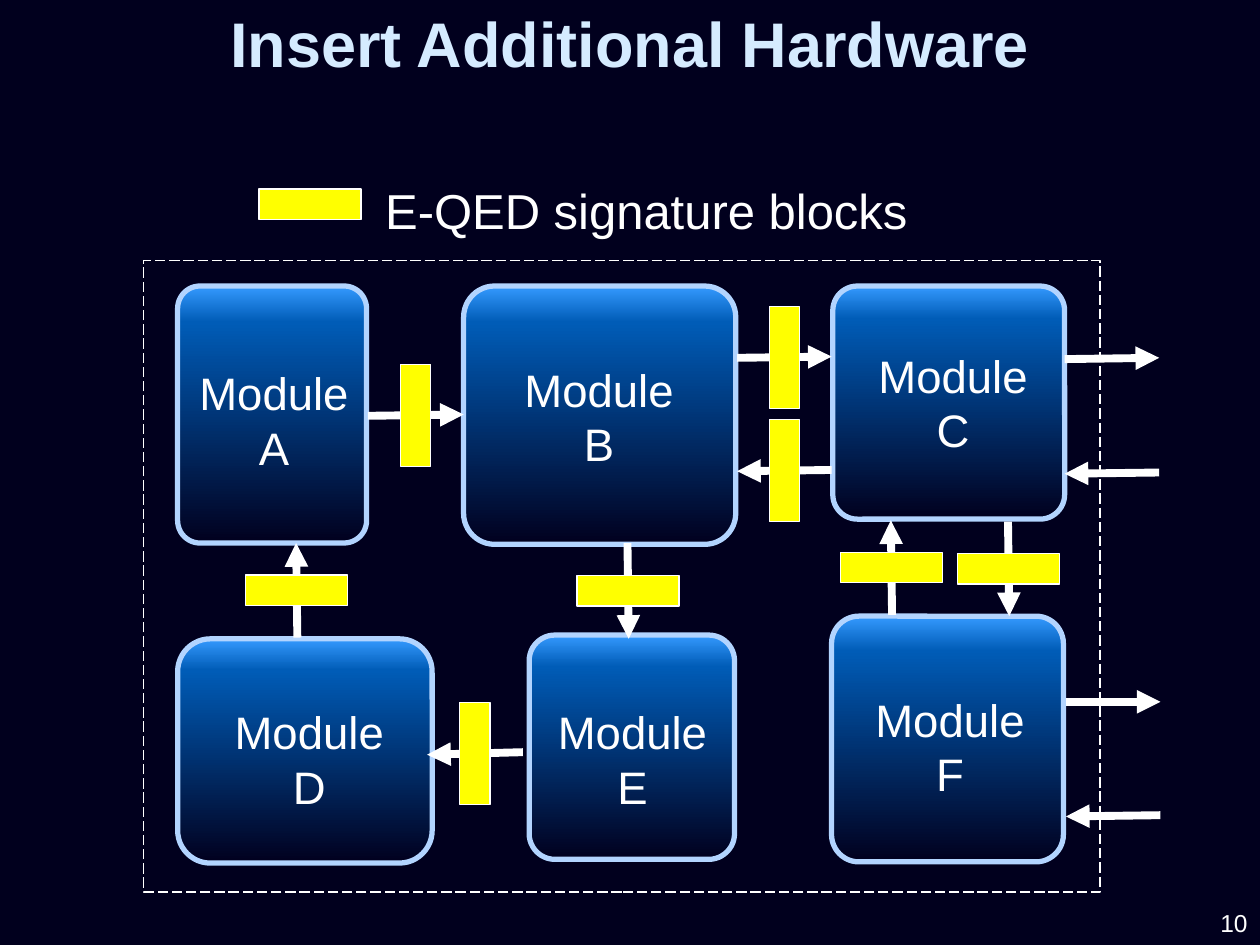
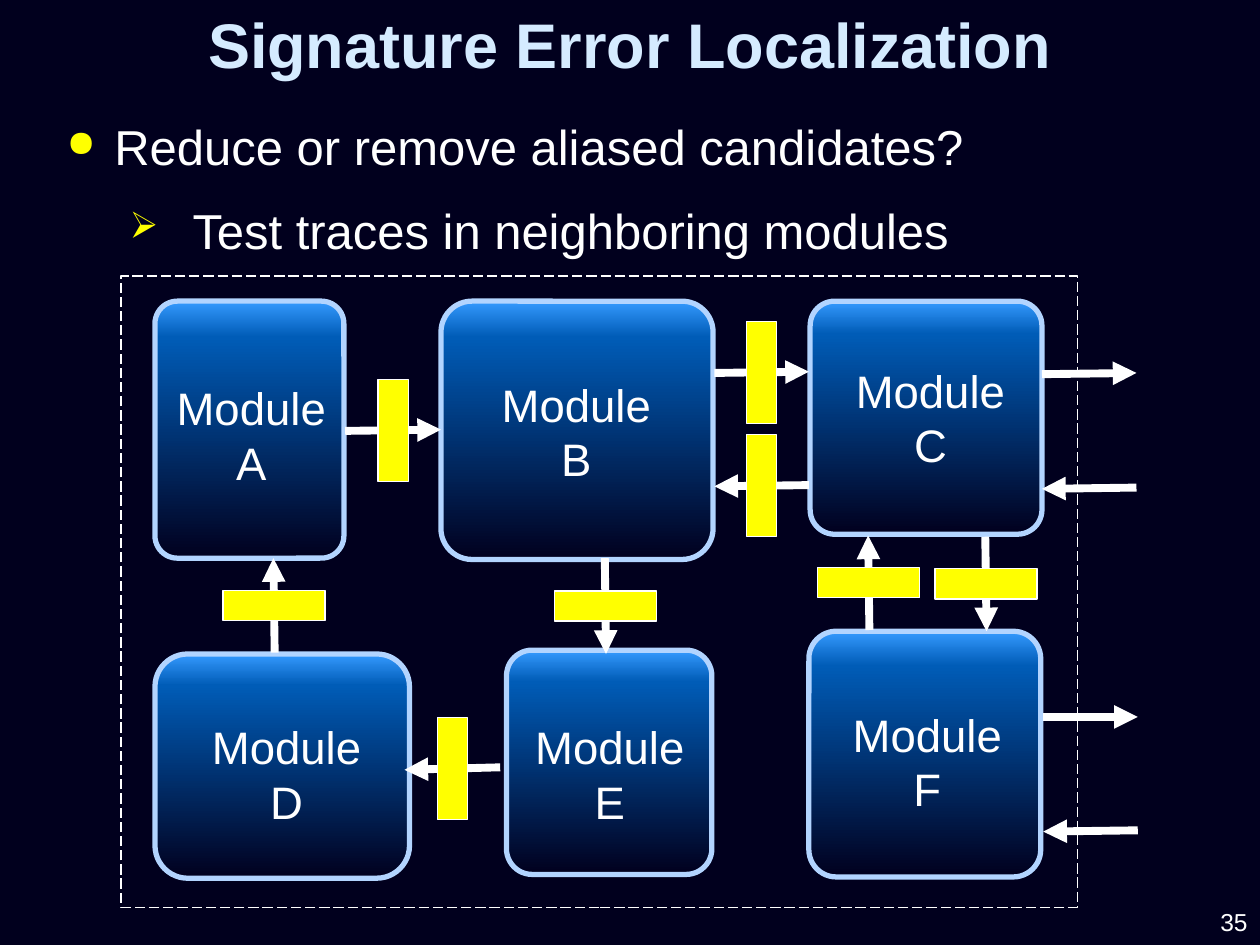
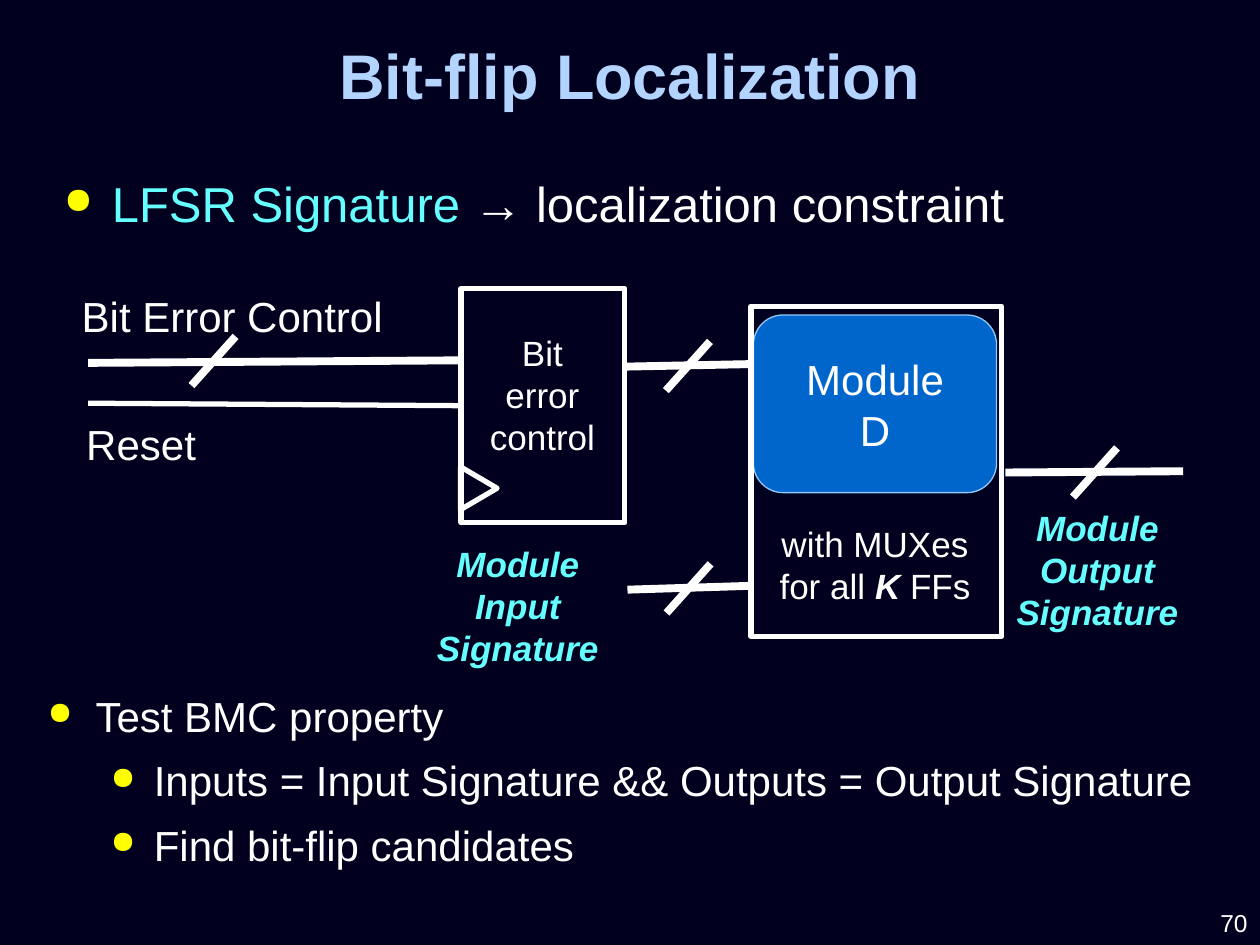
"""Build three slides on error localization with signature blocks."""
from copy import deepcopy
from dataclasses import dataclass

from pptx import Presentation
from pptx.dml.color import RGBColor as RGB
from pptx.enum.dml import MSO_LINE as Dash
from pptx.enum.shapes import MSO_CONNECTOR as Wire, MSO_SHAPE as Kind
from pptx.enum.text import MSO_ANCHOR as Anchor, MSO_AUTO_SIZE as Fit, PP_ALIGN as Align
from pptx.oxml.ns import qn
from pptx.oxml.xmlchemy import OxmlElement as Node
from pptx.util import Inches, Pt


@dataclass(frozen=True)
class Theme:
    """Colours, font and type sizes of the deck."""
    font: str = "Arial"
    back: str = "01001E"
    ink: str = "FFFFFF"
    pale: str = "D5EBFF"
    edge: str = "B2D4FF"
    mark: str = "FFFF00"
    cyan: str = "66FFFF"
    blue: str = "0066CC"
    rim: str = "93C8FC"
    fade: tuple = ((0, "01001E"), (0.86, "005CB7"), (1, "359AFF"))
    head: int = 36
    lead: int = 28
    name: int = 26
    body: int = 24
    small: int = 20
    page: int = 14


LOOK = Theme()
BOXES = (
    ("A", (1.41, 2.27, 1.5, 2.04), 0.119, (1.44, 2.85, 1.47)),
    ("B", (3.68, 2.27, 2.16, 2.05), 0.12, (4.02, 2.82, 1.47)),
    ("C", (6.61, 2.27, 1.84, 1.85), 0.106, (6.83, 2.71, 1.47)),
    ("D", (1.41, 5.07, 2.02, 1.78), 0.146, (1.72, 5.54, 1.47)),
    ("E", (4.2, 5.04, 1.63, 1.78), 0.125, (4.31, 5.54, 1.42)),
    ("F", (6.6, 4.89, 1.84, 1.95), 0.118, (6.83, 5.44, 1.42)),
)
LINKS = (
    (5.85, 2.84, 6.6, 2.83),
    (6.6, 3.73, 5.85, 3.74),
    (2.36, 5.06, 2.35, 4.31),
    (4.98, 4.31, 4.99, 5.07),
    (7.08, 4.88, 7.07, 4.13),
    (8, 4.14, 8.01, 4.89),
    (4.15, 5.97, 3.39, 5.99),
    (2.92, 3.3, 3.68, 3.29),
)
PORTS = (
    (8.45, 2.85, 9.2, 2.84),
    (9.2, 3.75, 8.45, 3.76),
    (8.46, 5.57, 9.21, 5.57),
    (9.21, 6.47, 8.46, 6.48),
)


class Deck:
    """Holds the theme and the current slide, and draws on it."""

    def __init__(self, look):
        self.look = look
        self.prs = Presentation()
        self.prs.slide_width, self.prs.slide_height = Inches(10), Inches(7.5)
        fill = self.prs.slide_master.background.fill
        fill.solid()
        fill.fore_color.rgb = RGB.from_string(look.back)
        self.slide = None

    def start(self, title, page, top, color, foot=7.15):
        self.slide = self.prs.slides.add_slide(self.prs.slide_layouts[5])
        box = self.slide.shapes.title
        box.left, box.top, box.width, box.height = map(Inches, (0, top, 10, 0.5))
        frame = box.text_frame
        frame.auto_size = Fit.NONE
        frame.vertical_anchor = Anchor.MIDDLE
        para = frame.paragraphs[0]
        para.alignment, para.line_spacing = Align.CENTER, 0.9
        self.run(para, title, self.look.head, color, bold=True)
        num = self.text((8.18, foot, 1.82, 0.35), [page], self.look.page, align=Align.RIGHT)
        num.vertical_anchor = Anchor.MIDDLE

    def run(self, para, words, size, color=None, bold=False, slant=False):
        run = para.add_run()
        run.text = words
        font = run.font
        font.name, font.size, font.bold, font.italic = self.look.font, Pt(size), bold, slant
        font.color.rgb = RGB.from_string(color or self.look.ink)

    def text(self, at, paras, size, align=Align.CENTER, space=None, after=None, marks=(), **style):
        box = self.slide.shapes.add_textbox(*map(Inches, at))
        frame = box.text_frame
        frame.word_wrap = True
        for i, runs in enumerate(paras):
            para = frame.paragraphs[0] if i == 0 else frame.add_paragraph()
            if marks:
                self.bullet(para, *marks[i])
            para.alignment = align
            if space:
                para.line_spacing = space
            if after:
                para.space_after = Pt(after)
            for part in [(runs, {})] if isinstance(runs, str) else runs:
                self.run(para, part[0], size, **{**style, **part[1]})
        return frame

    def bullet(self, para, sign, left, hang, level=0):
        para.level = level
        props = para._p.get_or_add_pPr()
        props.set("marL", str(Inches(left)))
        props.set("indent", str(-Inches(hang)))
        tint = Node("a:buClr")
        rgb = Node("a:srgbClr")
        rgb.set("val", self.look.mark)
        tint.append(rgb)
        size = Node("a:buSzPct")
        size.set("val", "75000")
        char = Node("a:buChar")
        char.set("char", sign)
        props.extend((tint, size, char))

    def list(self, at, items, size, space=None):
        self.text(at, [item[0] for item in items], size, Align.LEFT, space, 8,
                  [item[1:] for item in items])

    def shape(self, kind, at, fill=None, line=None, width=0.75, turn=0):
        shape = self.slide.shapes.add_shape(kind, *map(Inches, at))
        shape.shadow.inherit = False
        shape.rotation = turn
        if fill:
            shape.fill.solid()
            shape.fill.fore_color.rgb = RGB.from_string(fill)
        else:
            shape.fill.background()
        shape.line.color.rgb = RGB.from_string(line or self.look.ink)
        shape.line.width = Pt(width)
        return shape

    def block(self, at, curve):
        shape = self.shape(Kind.ROUNDED_RECTANGLE, at, line=self.look.edge, width=3)
        shape.adjustments[0] = curve
        fill = shape.fill
        fill.gradient()
        fill.gradient_angle = 90
        stops = shape._element.spPr.find(".//" + qn("a:gsLst"))
        stops.append(deepcopy(stops[0]))
        for stop, (place, color) in zip(fill.gradient_stops, self.look.fade):
            stop.position = place
            stop.color.rgb = RGB.from_string(color)

    def bar(self, x, y, tall=False):
        wide, high = (0.24, 0.81) if tall else (0.81, 0.24)
        self.shape(Kind.RECTANGLE, (x - wide / 2, y - high / 2, wide, high), self.look.mark)

    def wire(self, ends, width=4.5, tip=False):
        wire = self.slide.shapes.add_connector(Wire.STRAIGHT, *map(Inches, ends))
        wire.line.color.rgb = RGB.from_string(self.look.ink)
        wire.line.width = Pt(width)
        if tip:
            end = Node("a:tailEnd")
            end.set("type", "triangle")
            wire.line._get_or_add_ln().append(end)
        wire._element.spPr.append(Node("a:effectLst"))

    def bus(self, *ends):
        self.wire(ends)
        x, y = (ends[0] + ends[2]) / 2, (ends[1] + ends[3]) / 2
        self.slash(x, y)

    def slash(self, x, y):
        self.wire((x - 0.17, y + 0.2, x + 0.18, y - 0.19))

    def chip(self, dx=0, dy=0):
        frame = self.shape(Kind.RECTANGLE, (1.14 + dx, 2.07 + dy, 7.59, 5.01))
        frame.line.dash_style = Dash.LONG_DASH
        for name, (x, y, wide, high), curve, (left, top, span) in BOXES:
            self.block((x + dx, y + dy, wide, high), curve)
            self.text((left + dx, top + dy, span, 0.98), ["Module " + name], self.look.name)
        for ends in LINKS + PORTS:
            x1, y1, x2, y2 = ends
            self.wire((x1 + dx, y1 + dy, x2 + dx, y2 + dy), tip=True)
            if ends in LINKS:
                tall = abs(x2 - x1) > abs(y2 - y1)
                self.bar((x1 + x2) / 2 + dx, (y1 + y2) / 2 + dy, tall)


def insert(deck):
    look = deck.look
    deck.start("Insert Additional Hardware", "10", 0.12, look.pale)
    deck.text((2.54, 1.2, 5.07, 0.64), [" E-QED signature blocks"], look.lead, space=1.4, after=8)
    deck.bar(2.46, 1.62)
    deck.chip()


def locate(deck):
    look = deck.look
    deck.start("Signature Error Localization", "35", 0.13, look.pale, 7.14)
    deck.list((0.43, 0.78, 9.23, 0.76), [
        ("Reduce or remove aliased candidates?", "●", 0.38, 0.38),
        ("Test traces in neighboring modules", "➢", 1, 0.5, 1),
    ], look.lead, 1.2)
    deck.chip(-0.18, 0.12)


def flip(deck):
    look = deck.look
    deck.start("Bit-flip Localization", "70", 0.38, look.edge)
    deck.list((0.41, 1.14, 9.23, 1.32), [
        ([("LFSR Signature ", {"color": look.cyan}), ("→ localization constraint", {})],
         "●", 0.38, 0.38),
    ], look.lead, 1.4)

    deck.shape(Kind.ROUNDED_RECTANGLE, (5.98, 2.5, 1.93, 1.41), look.blue, look.rim)
    deck.text((6.23, 2.76, 1.43, 0.91), ["Module D"], look.body)
    for at in ((5.96, 2.43, 1.99, 2.62), (3.66, 2.29, 1.3, 1.86)):
        deck.shape(Kind.RECTANGLE, at, width=3)
    deck.shape(Kind.ISOSCELES_TRIANGLE, (3.63, 3.73, 0.34, 0.29), width=3, turn=90)
    deck.text((5.83, 4.1, 2.23, 0.77), [
        "with MUXes",
        [("for all", {}), (" K ", {"bold": True, "slant": True}), ("FFs", {})],
    ], look.small)
    deck.text((3.75, 2.58, 1.11, 1.11), ["Bit error control"], look.small)

    deck.wire((0.7, 3.2, 3.66, 3.22), 3)
    deck.wire((0.7, 2.88, 3.64, 2.86))
    deck.slash(1.69, 2.86)
    deck.bus(4.96, 2.91, 5.95, 2.89)
    deck.bus(4.98, 4.68, 5.94, 4.65)
    deck.bus(7.98, 3.75, 9.39, 3.74)

    deck.text((0.42, 3.27, 1.4, 0.5), ["Reset"], look.body)
    deck.text((0.55, 2.26, 2.72, 0.5), ["Bit Error Control"], look.body, Align.LEFT)
    for side, at in (("Output", (7.95, 3.97, 1.52, 1.11)), ("Input", (3.19, 4.26, 1.84, 1.11))):
        deck.text(at, [f"Module {side} Signature"], look.small,
                  color=look.cyan, bold=True, slant=True)
    deck.list((0.28, 5.43, 9.45, 1.86), [
        ("Test BMC property", "●", 0.38, 0.38),
        (" Inputs = Input Signature && Outputs = Output Signature", "●", 0.75, 0.25, 1),
        (" Find bit-flip candidates", "●", 0.75, 0.25, 1),
    ], look.body)


def main():
    deck = Deck(LOOK)
    for draw in (insert, locate, flip):
        draw(deck)
    deck.prs.save("out.pptx")


if __name__ == "__main__":
    main()
